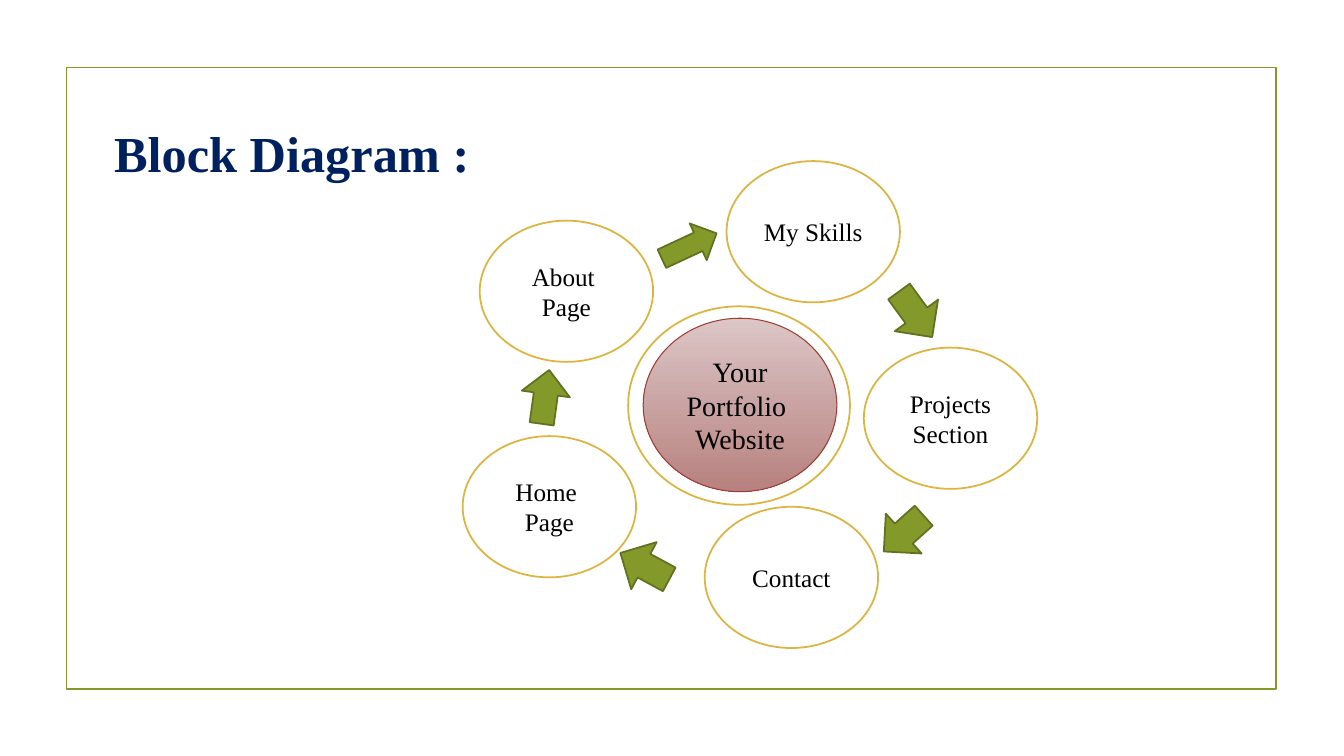
from pptx import Presentation
from pptx.dml.color import RGBColor
from pptx.enum import shapes, text
from pptx.util import Cm, Pt

GREEN = RGBColor(0x83, 0x99, 0x2A)
DARK_GREEN = RGBColor(0x61, 0x71, 0x1F)
GOLD = RGBColor(0xDE, 0xB3, 0x40)
RED = RGBColor(0xA2, 0x3C, 0x33)
PALE_ROSE = RGBColor(0xDC, 0xC6, 0xC6)
ROSE = RGBColor(0xB7, 0x81, 0x7F)
NAVY = RGBColor(0x00, 0x20, 0x60)
BLACK = RGBColor(0x00, 0x00, 0x00)
WHITE = RGBColor(0xFF, 0xFF, 0xFF)

FONT = "Times New Roman"
SHAPE = shapes.MSO_SHAPE
PAGE_SIZE = (4.37, 3.56)
PAGES = [
    (("About ", "Page"), 0.43, 1.5),
    (("My Skills",), 6.65, 0),
    (("Home ", "Page"), 0, 6.93),
    (("Contact",), 6.1, 8.71),
    (("Projects", "Section"), 10.11, 4.7),
]
ARROWS = [
    (SHAPE.RIGHT_ARROW, (4.95, 1.63, 1.52, 1.02), 335.1),
    (SHAPE.DOWN_ARROW, (10.74, 3.15, 1.35, 1.42), 323.9),
    (SHAPE.RIGHT_ARROW, (10.44, 8.71, 1.35, 1.35), 138.1),
    (SHAPE.RIGHT_ARROW, (1.4, 5.33, 1.37, 1.22), 277.9),
    (SHAPE.RIGHT_ARROW, (3.89, 9.53, 1.4, 1.35), 208.4),
]


def add_outlined(slide, kind, box, line, weight=1.25, fill=None):
    outlined = slide.shapes.add_shape(kind, *(Cm(length) for length in box))
    outlined.shadow.inherit = False
    outlined.line.color.rgb = line
    outlined.line.width = Pt(weight)
    if fill is None:
        outlined.fill.background()
    else:
        outlined.fill.solid()
        outlined.fill.fore_color.rgb = fill
    return outlined


def write_label(ellipse, lines, size):
    label = ellipse.text_frame
    label.text = "\n".join(lines)
    label.word_wrap = True
    label.vertical_anchor = text.MSO_ANCHOR.MIDDLE
    for line in label.paragraphs:
        line.alignment = text.PP_ALIGN.CENTER
        line.font.name = FONT
        line.font.size = Pt(size)
        line.font.color.rgb = BLACK


def build_frame(slide, box):
    add_outlined(slide, SHAPE.RECTANGLE, box, GREEN)


def build_heading(slide, left, top, width, height):
    heading = slide.shapes.title
    heading.left, heading.top = Cm(left), Cm(top)
    heading.width, heading.height = Cm(width), Cm(height)
    frame = heading.text_frame
    frame.text = "Block Diagram :"
    frame.word_wrap = True
    frame.auto_size = text.MSO_AUTO_SIZE.NONE
    frame.vertical_anchor = text.MSO_ANCHOR.TOP
    wording = frame.paragraphs[0]
    wording.alignment = text.PP_ALIGN.LEFT
    wording.font.name = FONT
    wording.font.size = Pt(36)
    wording.font.bold = True
    wording.font.color.rgb = NAVY


def build_core(slide, left, top):
    add_outlined(slide, SHAPE.OVAL, (left, top, 5.59, 5), GOLD, fill=WHITE)
    website = add_outlined(
        slide, SHAPE.OVAL, (left + 0.38, top + 0.3, 4.88, 4.37), RED, 0.75)
    website.fill.gradient()
    website.fill.gradient_angle = 270
    for stop, color in zip(website.fill.gradient_stops, (PALE_ROSE, ROSE)):
        stop.color.rgb = color
    write_label(website, ("Your Portfolio ", "Website"), 20)


def build_cycle(slide, left, top):
    build_core(slide, left + 4.17, top + 3.66)
    for lines, x, y in PAGES:
        page = add_outlined(
            slide, SHAPE.OVAL, (left + x, top + y, *PAGE_SIZE), GOLD, fill=WHITE)
        write_label(page, lines, 18)
    for kind, (x, y, width, height), angle in ARROWS:
        arrow = add_outlined(
            slide, kind, (left + x, top + y, width, height), DARK_GREEN, fill=GREEN)
        arrow.rotation = angle


def main():
    deck = Presentation()
    deck.slide_width, deck.slide_height = Cm(33.87), Cm(19.05)
    slide = deck.slides.add_slide(deck.slide_layouts[5])
    build_frame(slide, (1.68, 1.7, 30.48, 15.67))
    build_cycle(slide, 11.66, 4.06)
    build_heading(slide, 2.62, 2.95, 10.34, 2.57)
    deck.save("out.pptx")


if __name__ == "__main__":
    main()
